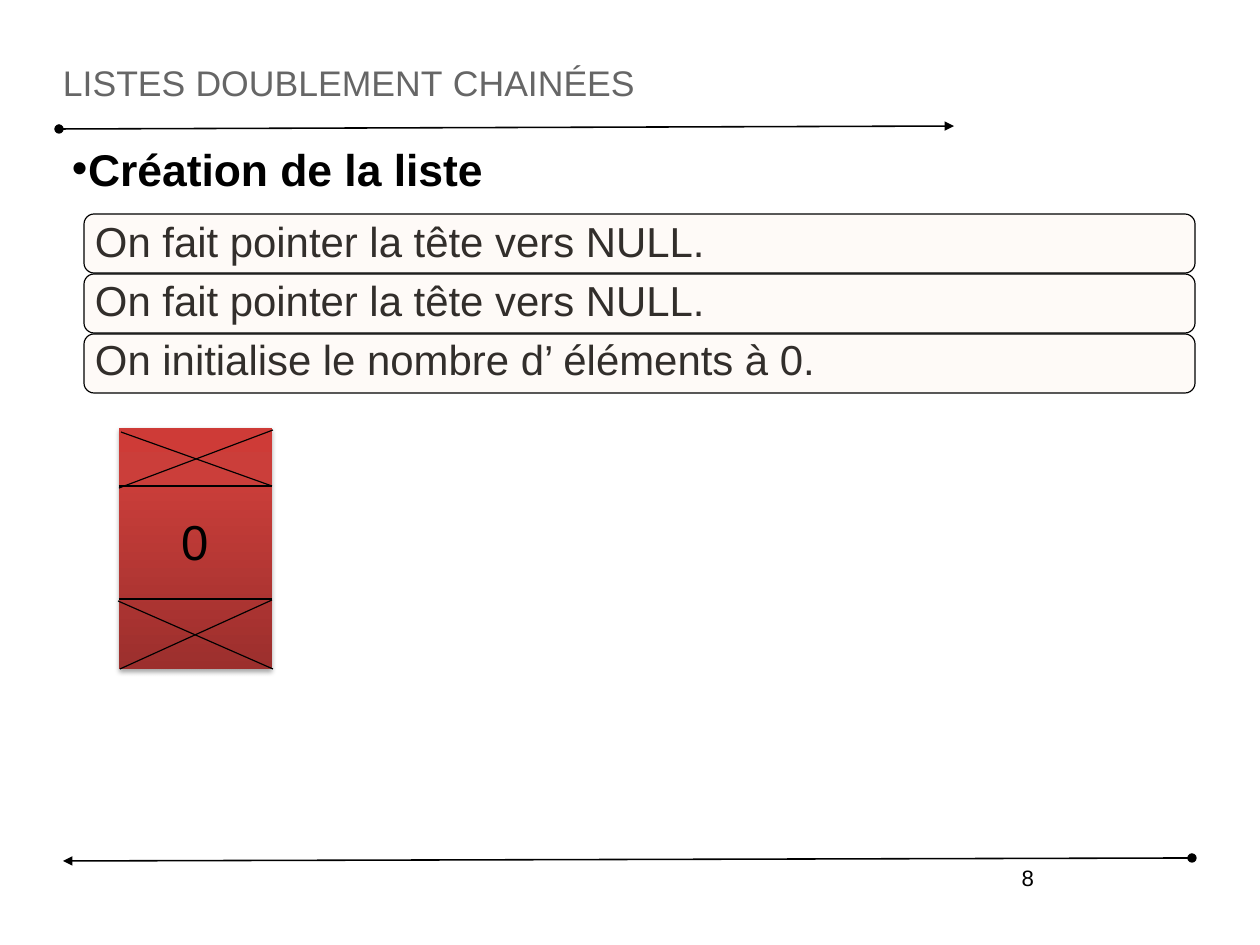
from lxml import etree
from pptx import Presentation
from pptx import util as u
from pptx.dml.color import RGBColor
from pptx.enum import shapes, text
from pptx.oxml import parse_xml
from pptx.oxml.ns import nsdecls, qn

PX = 8000
BLACK = RGBColor(0x00, 0x00, 0x00)
GREY = RGBColor(0x66, 0x66, 0x66)
CREAM = RGBColor(0xFD, 0xEA, 0xDA)
DARK = RGBColor(0x9C, 0x2F, 0x2D)
RED = RGBColor(0xCB, 0x3E, 0x3A)
BRIGHT = RGBColor(0xCE, 0x3B, 0x37)
STEPS = [
    "On fait pointer la tête vers NULL.",
    "On fait pointer la tête vers NULL.",
    "On initialise le nombre d’ éléments à 0.",
]


def px(*vals):
    """Turn pixel lengths into EMU."""
    return [u.Emu(val * PX) for val in vals]


def add_line(slide, start, end, width=0.75, arrow=False):
    """Draw a black line, with a dot and an arrowhead if asked."""
    line = slide.shapes.add_connector(
        shapes.MSO_CONNECTOR.STRAIGHT, *px(*start, *end))
    line.line.color.rgb = BLACK
    line.line.width = u.Pt(width)
    props = line.line._get_or_add_ln()
    if arrow:
        etree.SubElement(props, qn("a:headEnd"), type="oval")
        etree.SubElement(props, qn("a:tailEnd"), type="triangle")
    etree.SubElement(line._element.spPr, qn("a:effectLst"))


def add_cross(slide, down, rise):
    """Draw the two diagonals of an empty pointer cell."""
    for start, end in (down, rise):
        add_line(slide, start, end)


def add_text(slide, box, lines, size, color=BLACK, bold=False, inset=(11, 6),
             align=text.PP_ALIGN.LEFT, anchor=text.MSO_ANCHOR.TOP, gap=0):
    """Add a text box with one run per paragraph."""
    frame = slide.shapes.add_textbox(*px(*box)).text_frame
    frame.word_wrap = True
    frame.vertical_anchor = anchor
    frame.margin_left, frame.margin_top = px(*inset)
    frame.margin_right, frame.margin_bottom = px(*inset)
    for num, words in enumerate(lines):
        para = frame.add_paragraph() if num else frame.paragraphs[0]
        para.alignment = align
        para.space_before = u.Pt(gap)
        run = para.add_run()
        run.text = words
        run.font.name = "Arial"
        run.font.size = u.Pt(size)
        run.font.bold = bold
        run.font.color.rgb = color
    return frame


def add_bullet(para, left, indent):
    """Give a paragraph a round bullet and an indent."""
    props = para._p.get_or_add_pPr()
    props.set("marL", str(left * PX))
    props.set("indent", str(indent * PX))
    etree.SubElement(props, qn("a:buFont"), typeface="Arial")
    etree.SubElement(props, qn("a:buChar"), char="•")


def add_frame(slide, box):
    """Add a rounded, see-through frame."""
    frame = slide.shapes.add_shape(
        shapes.MSO_SHAPE.ROUNDED_RECTANGLE, *px(*box))
    frame.shadow.inherit = False
    frame.adjustments[0] = 0.17
    frame.fill.solid()
    frame.fill.fore_color.rgb = CREAM
    tint = frame._element.spPr.find(qn("a:solidFill"))[0]
    etree.SubElement(tint, qn("a:alpha"), val="20000")
    frame.line.color.rgb = BLACK
    frame.line.width = u.Pt(0.75)


def add_node(slide, box):
    """Add the red list block with its gradient and shadow."""
    node = slide.shapes.add_shape(shapes.MSO_SHAPE.RECTANGLE, *px(*box))
    node.shadow.inherit = False
    node.line.fill.background()
    stops = "".join(
        f'<a:gs pos="{pos * 1000}"><a:srgbClr val="{color}"/></a:gs>'
        for pos, color in ((0, DARK), (80, RED), (100, BRIGHT)))
    props = node._element.spPr
    props.find(qn("a:prstGeom")).addnext(parse_xml(
        f'<a:gradFill {nsdecls("a")} rotWithShape="1"><a:gsLst>{stops}'
        '</a:gsLst><a:lin ang="16200000" scaled="0"/></a:gradFill>'))
    props.find(qn("a:effectLst")).append(parse_xml(
        f'<a:outerShdw {nsdecls("a")} blurRad="{u.Pt(3.1)}" '
        f'dist="{u.Pt(1.8)}" dir="5400000" rotWithShape="0">'
        f'<a:srgbClr val="{BLACK}"><a:alpha val="35000"/></a:srgbClr>'
        '</a:outerShdw>'))


def main():
    """Build the slide and save it."""
    deck = Presentation()
    deck.slide_width, deck.slide_height = px(1260, 945)
    slide = deck.slides.add_slide(deck.slide_layouts[6])

    add_line(slide, (59, 129), (954, 126), 1, True)
    add_text(slide, (751, 858, 294, 65), ["8"], 14,
             align=text.PP_ALIGN.RIGHT)
    add_line(slide, (1192, 858), (63, 861), 1, True)

    add_text(slide, (84, 210, 1111, 123), STEPS, 26.4,
             align=text.PP_ALIGN.JUSTIFY, gap=5.3)
    title = add_text(slide, (63, 38, 1134, 82), ["listes doublement chainées"],
                     28, GREY, inset=(0, 0), anchor=text.MSO_ANCHOR.MIDDLE)
    title.paragraphs[0].runs[0].font._element.set("cap", "small")
    head = add_text(slide, (61, 136, 1130, 65), ["Création de la liste"], 28,
                    bold=True, gap=9.4)
    add_bullet(head.paragraphs[0], 16, -40)

    add_node(slide, (119, 428, 153, 241))
    for top in (486, 599):
        add_line(slide, (119, top), (272, top))
    add_text(slide, (171, 506, 59, 71), ["0"], 30.9, gap=15.4)
    add_cross(slide, ((121, 432), (272, 486)), ((119, 488), (273, 430)))
    add_cross(slide, ((118, 601), (273, 669)), ((120, 669), (272, 600)))

    for row in range(len(STEPS)):
        add_frame(slide, (84, 214 + 60 * row, 1111, 59))

    deck.save("out.pptx")


if __name__ == "__main__":
    main()
